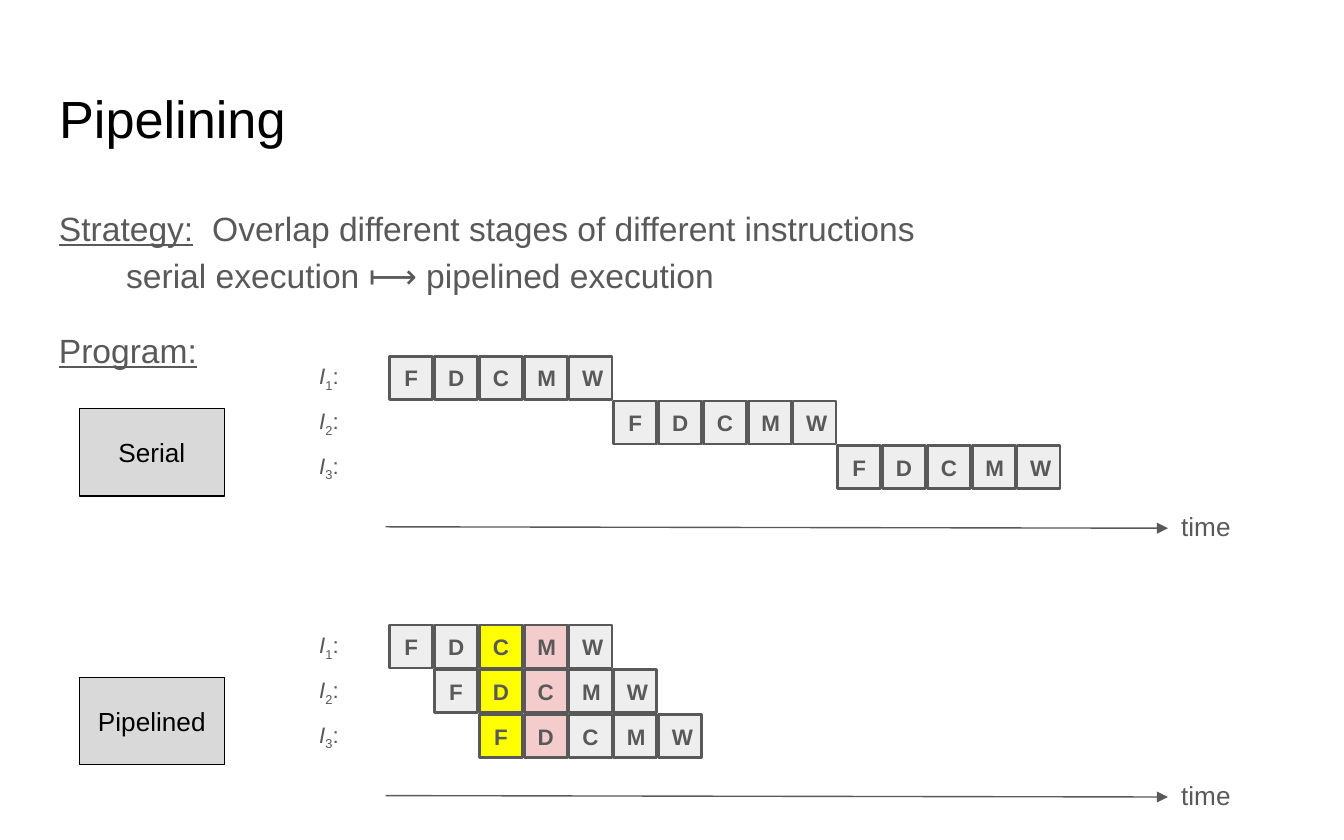
from dataclasses import dataclass

from lxml import etree
from pptx import Presentation
from pptx import util as u
from pptx.dml.color import RGBColor
from pptx.enum import shapes, text
from pptx.oxml import ns

FONT = "Arial"
GRAY = "595959"
BLACK = "000000"
CELL_FILL = "EEEEEE"
PITCH = 1 / 3
CELL = 0.32
GRID_LEFT, GRID_TOP = 2.9, 2.65
STAGES = "FDCMW"
INSTRUCTIONS = 3


@dataclass(frozen=True)
class Run:
    content: str
    italic: bool = False
    underline: bool = False
    subscript: bool = False


@dataclass(frozen=True)
class Schedule:
    name: str
    first_row: int
    stagger: int
    highlights: dict[int, str]


SCHEDULES = [
    Schedule("Serial", 0, len(STAGES), {}),
    Schedule("Pipelined", 6, 1, {2: "FFFF00", 3: "F4CCCC"}),
]


def color(value: str) -> RGBColor:
    return RGBColor.from_string(value)


def column(index: float) -> float:
    return GRID_LEFT + index * PITCH


def row(index: float) -> float:
    return GRID_TOP + index * PITCH


def write(shape, *runs: Run, size: float, fill: str = GRAY, bold: bool = False,
          center: bool = False, middle: bool = False, spacing: float = 1.0,
          tab: float | None = None) -> None:
    frame = shape.text_frame
    frame.word_wrap = True
    frame.auto_size = text.MSO_AUTO_SIZE.NONE
    frame.vertical_anchor = text.MSO_ANCHOR.MIDDLE if middle else text.MSO_ANCHOR.TOP
    frame.margin_left = frame.margin_right = u.Inches(0.1)
    frame.margin_top = frame.margin_bottom = u.Inches(0.1)
    paragraph = frame.paragraphs[0]
    paragraph.alignment = text.PP_ALIGN.CENTER if center else text.PP_ALIGN.LEFT
    paragraph.line_spacing = spacing
    if tab is not None:
        stops = etree.SubElement(paragraph._p.get_or_add_pPr(), ns.qn("a:tabLst"))
        etree.SubElement(stops, ns.qn("a:tab"), pos=str(u.Inches(tab)), algn="l")
    for part in runs:
        run = paragraph.add_run()
        run.text = part.content
        run.font.name = FONT
        run.font.size = u.Pt(size)
        run.font.color.rgb = color(fill)
        run.font.bold = bold
        run.font.italic = part.italic
        run.font.underline = part.underline
        if part.subscript:
            run._r.get_or_add_rPr().set("baseline", "-25000")


def add_text(slide, left: float, top: float, width: float, height: float,
             *runs: Run, **style) -> None:
    shape = slide.shapes.add_textbox(*map(u.Inches, (left, top, width, height)))
    write(shape, *runs, **style)


def add_box(slide, left: float, top: float, width: float, height: float, label: str,
            background: str, border: str, border_width: float, **style) -> None:
    shape = slide.shapes.add_shape(
        shapes.MSO_SHAPE.RECTANGLE, *map(u.Inches, (left, top, width, height)))
    shape.shadow.inherit = False
    shape.fill.solid()
    shape.fill.fore_color.rgb = color(background)
    shape.line.color.rgb = color(border)
    shape.line.width = u.Pt(border_width)
    write(shape, Run(label), center=True, middle=True, **style)


def add_time_axis(slide, top: float) -> None:
    axis = slide.shapes.add_connector(
        shapes.MSO_CONNECTOR.STRAIGHT,
        *map(u.Inches, (2.87, top + 1.27, 8.69, top + 1.28)))
    axis.line.color.rgb = color(GRAY)
    axis.line.width = u.Pt(0.75)
    etree.SubElement(axis.line._get_or_add_ln(), ns.qn("a:tailEnd"), type="triangle")
    etree.SubElement(axis._element.spPr, ns.qn("a:effectLst"))
    add_text(slide, 8.69, top + 1.05, 1.19, 0.38, Run("time"), size=14)


def add_schedule(slide, schedule: Schedule) -> None:
    top = row(schedule.first_row)
    add_box(slide, 0.59, top + 0.39, 1.08, 0.65, schedule.name,
            "D9D9D9", BLACK, 0.75, size=14, fill=BLACK)
    add_time_axis(slide, top)
    for instruction in range(INSTRUCTIONS):
        cell_top = row(schedule.first_row + instruction)
        add_text(slide, column(-2), cell_top, 0.43, CELL,
                 Run("I", italic=True), Run(str(instruction + 1), subscript=True), Run(":"),
                 size=12, center=True, middle=True)
        for step, stage in enumerate(STAGES, instruction * schedule.stagger):
            add_box(slide, column(step), cell_top, CELL, CELL, stage,
                    schedule.highlights.get(step, CELL_FILL), GRAY, 1.5,
                    size=12, bold=True)


def main() -> None:
    presentation = Presentation()
    presentation.slide_width = u.Inches(10)
    presentation.slide_height = u.Inches(6.25)
    slide = presentation.slides.add_slide(presentation.slide_layouts[5])

    title = slide.shapes.title
    title.left, title.top, title.width, title.height = map(
        u.Inches, (0.34, 0.54, 9.32, 0.7))
    write(title, Run("Pipelining"), size=28, fill=BLACK)

    body = {"size": 18, "spacing": 1.15}
    add_text(slide, 0.34, 1.4, 9.32, 0.5, Run("Strategy:", underline=True),
             Run("\tOverlap different stages of different instructions"),
             tab=1.14, **body)
    add_text(slide, 0.84, 1.75, 6.82, 0.5,
             Run("serial execution ⟼ pipelined execution"), **body)
    add_text(slide, 0.34, 2.31, 1.8, 0.5, Run("Program:", underline=True), **body)

    for schedule in SCHEDULES:
        add_schedule(slide, schedule)
    presentation.save("out.pptx")


if __name__ == "__main__":
    main()
